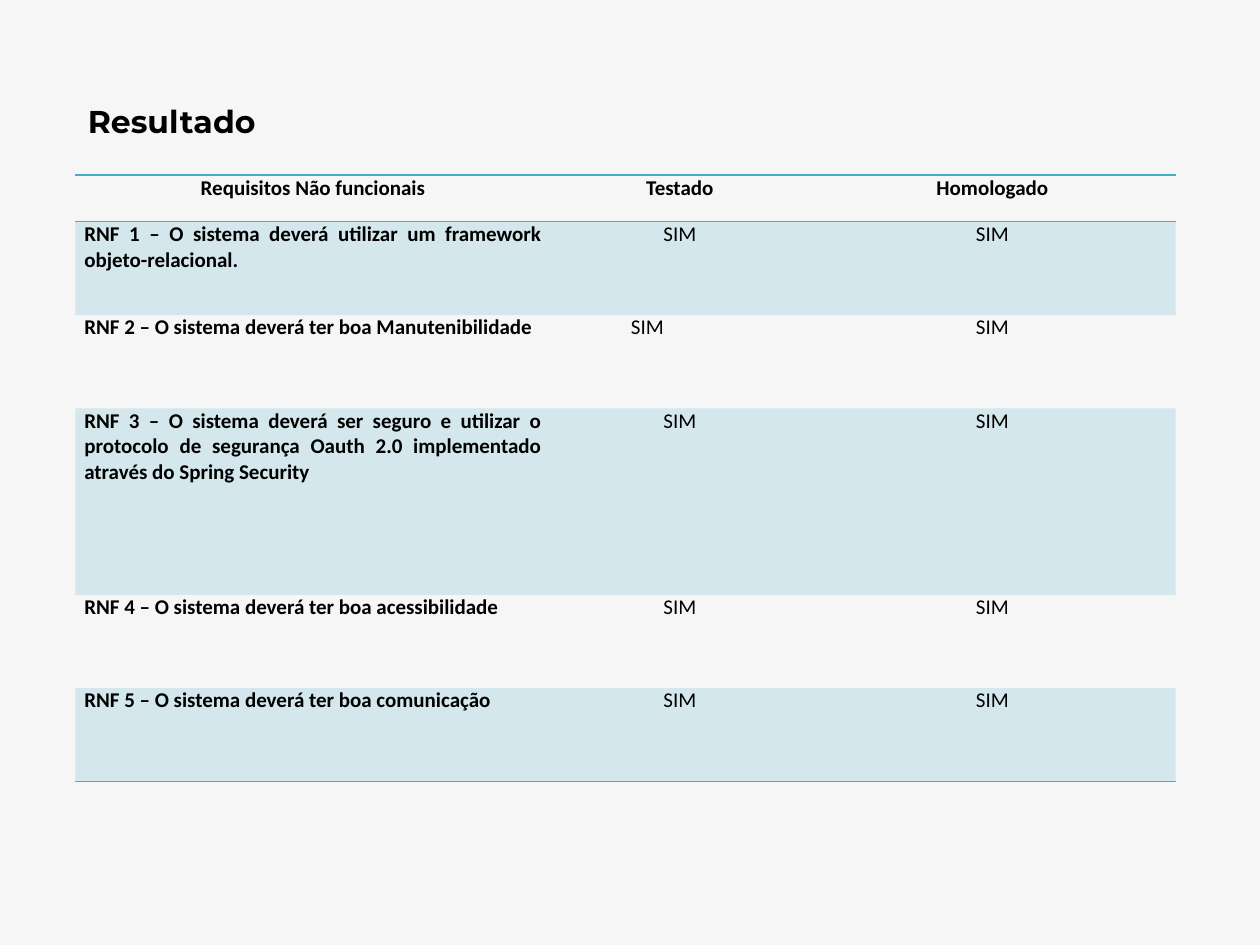
from lxml import etree
from pptx import Presentation
from pptx.dml.color import RGBColor
from pptx.enum import text
from pptx.oxml import ns
from pptx.util import Cm, Pt

COLOURS = {"page": "F6F6F6", "ink": "000000", "accent": "4BACC6"}
TITLE = "Resultado"
HEADER = ("Requisitos Não funcionais", "Testado", "Homologado")
# requirement, tested, approved, height in units of the header row
REQUIREMENTS = [
    ("RNF 1 – O sistema deverá utilizar um framework objeto-relacional.", "SIM", "SIM", 2),
    ("RNF 2 – O sistema deverá ter boa Manutenibilidade", "SIM", "SIM", 2),
    ("RNF 3 – O sistema deverá ser seguro e utilizar o protocolo de segurança "
     "Oauth 2.0 implementado através do Spring Security", "SIM", "SIM", 4),
    ("RNF 4 – O sistema deverá ter boa acessibilidade", "SIM", "SIM", 2),
    ("RNF 5 – O sistema deverá ter boa comunicação", "SIM", "SIM", 2),
]
INDENTED_CELL = (2, 1)  # the one answer that is indented, not centred
COLUMN_WIDTHS = (9.58, 5.21, 7.39)
ROW_UNIT = 0.94
LEFT = 1.52
NO_STYLE = "{2D5ABB26-0587-4C30-8999-92F81FD0307C}"
ALIGN = text.PP_ALIGN


def colour(name):
    return RGBColor.from_string(COLOURS[name])


def add_span(para, words, font, size, bold):
    span = para.add_run()
    span.text = words
    span.font.name, span.font.size, span.font.bold = font, Pt(size), bold
    span.font.color.rgb = colour("ink")


def tint(cell):
    """Fill the cell with the accent colour at 20 % opacity."""
    cell.fill.solid()
    cell.fill.fore_color.rgb = colour("accent")
    shade = cell._tc.tcPr.find(".//" + ns.qn("a:srgbClr"))
    etree.SubElement(shade, ns.qn("a:alpha"), val="20000")


def add_rules(cell, sides):
    """Draw 1 pt lines; sides is T, B or TB, in schema order."""
    for place, side in enumerate(sides):
        line = etree.Element(ns.qn("a:ln" + side), w=str(Pt(1)))
        fill = etree.SubElement(line, ns.qn("a:solidFill"))
        etree.SubElement(fill, ns.qn("a:srgbClr"), val=COLOURS["accent"])
        cell._tc.tcPr.insert(place, line)


def add_title(page):
    box = page.shapes.add_textbox(Cm(LEFT), Cm(1.93), Cm(21.77), Cm(1.02))
    box.text_frame.word_wrap = True
    box.text_frame.auto_size = text.MSO_AUTO_SIZE.SHAPE_TO_FIT_TEXT
    para = box.text_frame.paragraphs[0]
    para.alignment = ALIGN.JUSTIFY
    add_span(para, TITLE, "Montserrat", 18, True)


def fill_cell(cell, row, column, words, last_row):
    cell.margin_left = cell.margin_right = Cm(0.18)
    cell.margin_top = cell.margin_bottom = 0
    para = cell.text_frame.paragraphs[0]
    add_span(para, words, "Calibri", 12, row == 0 or column == 0)
    if (row, column) == INDENTED_CELL:
        para.alignment = ALIGN.LEFT
        para._p.get_or_add_pPr().set("indent", str(Cm(1.44)))
    elif row and column == 0:
        para.alignment = ALIGN.LEFT if row == last_row else ALIGN.JUSTIFY
    else:
        para.alignment = ALIGN.CENTER
    if row % 2:
        tint(cell)
    else:
        cell.fill.background()
    add_rules(cell, {0: "TB", last_row: "B"}.get(row, ""))


def add_requirements(page):
    rows = [(*HEADER, 1), *REQUIREMENTS]
    height = ROW_UNIT * sum(row[-1] for row in rows)
    frame = page.shapes.add_table(len(rows), len(HEADER), Cm(LEFT), Cm(3.53),
                                  Cm(sum(COLUMN_WIDTHS)), Cm(height))
    table = frame.table
    table._tbl.tblPr.find(ns.qn("a:tableStyleId")).text = NO_STYLE
    for column, width in zip(table.columns, COLUMN_WIDTHS):
        column.width = Cm(width)
    for r, (*entries, units) in enumerate(rows):
        table.rows[r].height = Cm(ROW_UNIT * units)
        for c, words in enumerate(entries):
            fill_cell(table.cell(r, c), r, c, words, len(rows) - 1)


def main():
    deck = Presentation()
    deck.slide_width, deck.slide_height = Cm(25.4), Cm(19.05)
    page = deck.slides.add_slide(deck.slide_layouts[6])
    page.background.fill.solid()
    page.background.fill.fore_color.rgb = colour("page")
    add_title(page)
    add_requirements(page)
    deck.save("out.pptx")


if __name__ == "__main__":
    main()
